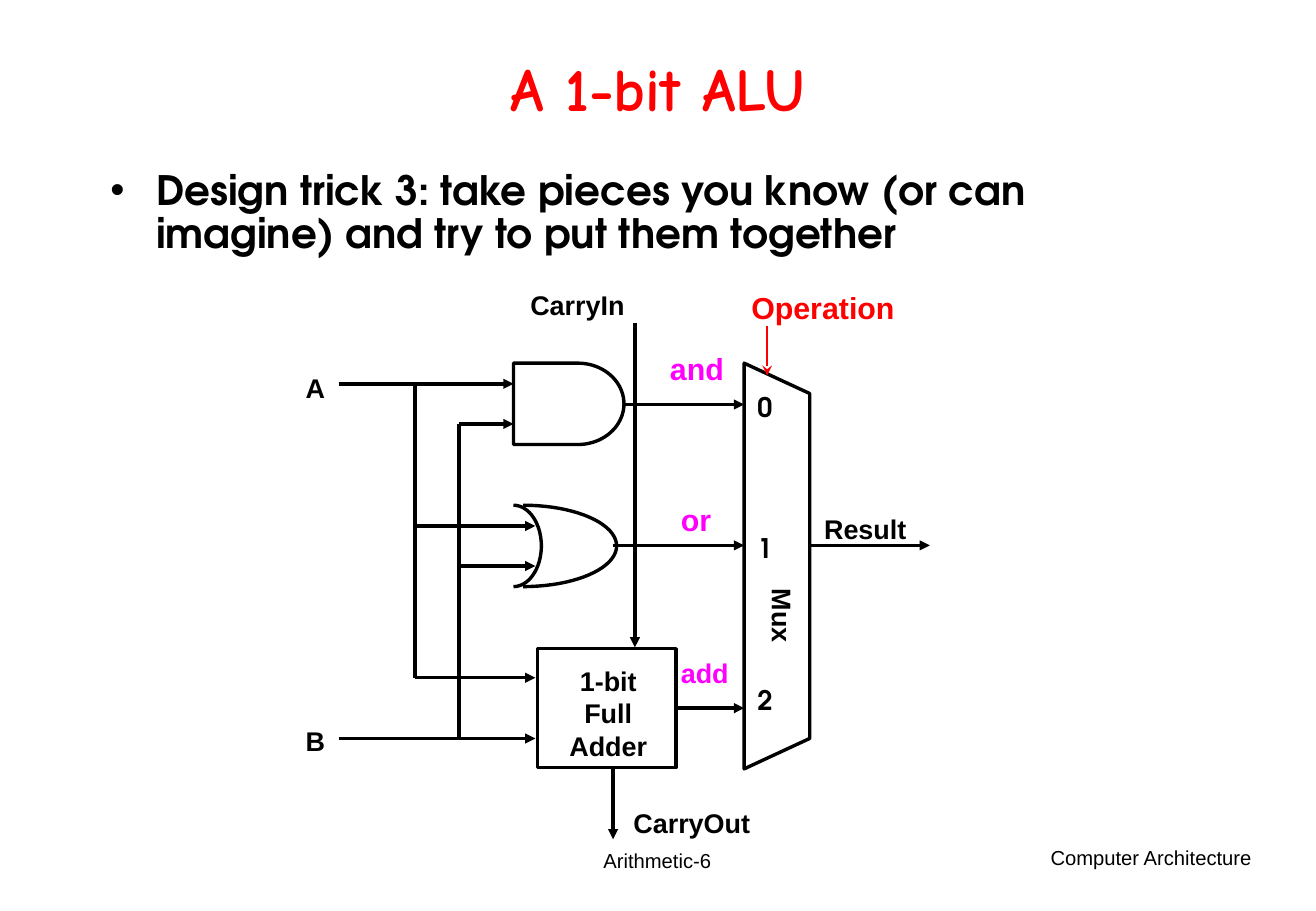
import math

from lxml import etree
from pptx import Presentation
from pptx.dml.color import RGBColor
from pptx.enum.shapes import MSO_CONNECTOR, MSO_SHAPE
from pptx.enum.text import MSO_ANCHOR, MSO_AUTO_SIZE, PP_ALIGN
from pptx.oxml.ns import qn
from pptx.util import Emu, Pt

PX = 9144  # 100 px to the inch
LEFT, MID, RIGHT = PP_ALIGN.LEFT, PP_ALIGN.CENTER, PP_ALIGN.RIGHT
TOP, CENTER = MSO_ANCHOR.TOP, MSO_ANCHOR.MIDDLE
FIXED = MSO_AUTO_SIZE.NONE
STRAIGHT = MSO_CONNECTOR.STRAIGHT
RECT = MSO_SHAPE.RECTANGLE
ARIAL, GOTHIC, COMIC = "Arial", "TeX Gyre Adventor", "Comic Neue"
BLACK, RED, PINK, BLUE = "000000", "FF0000", "FF00FF", "0000FF"

# text, left, top, width, height, size, colour
LABELS = [
    ("A", 242, 301, 36, 37, 16, BLACK),
    ("B", 242, 592, 36, 37, 16, BLACK),
    ("CarryIn", 427, 233, 98, 37, 16, BLACK),
    ("CarryOut", 512, 659, 116, 37, 16, BLACK),
    ("Result", 669, 417, 88, 37, 16, BLACK),
    ("and", 542, 283, 65, 40, 18, PINK),
    ("or", 551, 408, 45, 40, 18, PINK),
    ("add", 551, 536, 60, 37, 16, PINK),
    ("Operation", 609, 233, 138, 40, 18, RED),
]
ARROWS = [
    (279, 316, 423, 316), (378, 349, 423, 349),  # into the and gate
    (342, 433, 441, 433), (378, 466, 441, 466),  # into the or gate
    (342, 558, 441, 558), (279, 608, 441, 608),  # into the adder
    (514, 333, 613, 333), (505, 449, 613, 449),  # into the mux
    (523, 266, 523, 533), (505, 633, 505, 691),  # carry in and out
    (667, 449, 766, 449),
]
BRANCHES = [(342, 316, 342, 558), (378, 349, 378, 608)]
MUX = [(613, 299), (667, 324), (667, 608), (613, 633)]
INPUTS = [("0", 317), ("1", 433), ("2", 558)]


def px(*vals):
    return [Emu(round(v * PX)) for v in vals]


def paint(hue):
    return RGBColor.from_string(hue)


def put(obj, fmt):
    for key, val in fmt.items():
        setattr(obj, key, val)


def place(shape, box):
    put(shape, dict(zip(("left", "top", "width", "height"), px(*box))))


def write(shape, text, size, hue=BLACK, font=ARIAL, bold=True,
          align=LEFT, anchor=TOP, wrap=False, lines=1.0):
    frame = shape.text_frame
    put(frame, {"text": text, "word_wrap": wrap,
                "auto_size": FIXED, "vertical_anchor": anchor})
    for para in frame.paragraphs:
        put(para, {"alignment": align, "line_spacing": lines,
                   "space_before": Pt(0)})
        for run in para.runs:
            put(run.font, {"name": font, "size": Pt(size), "bold": bold})
            run.font.color.rgb = paint(hue)


def label(slide, text, box, size, hue=BLACK, **style):
    shape = slide.shapes.add_textbox(*px(*box))
    write(shape, text, size, hue, **style)
    return shape


def ink(line, hue=BLACK, width=2):
    line.color.rgb = paint(hue)
    line.width = Pt(width)


def wire(slide, ends, head="triangle", hue=BLACK, width=2):
    link = slide.shapes.add_connector(STRAIGHT, *px(*ends))
    ink(link.line, hue, width)
    props = link._element.spPr
    if head:
        line = props.find(qn("a:ln"))
        etree.SubElement(line, qn("a:tailEnd"), type=head)
    etree.SubElement(props, qn("a:effectLst"))
    return link


def trim(shape):
    """Leave only a black outline."""
    shape.shadow.inherit = False
    shape.fill.background()
    ink(shape.line)


def trace(slide, points, close=False):
    spots = [px(*point) for point in points]
    pen = slide.shapes.build_freeform(*spots[0], scale=1.0)
    pen.add_line_segments(spots[1:], close=close)
    trim(pen.convert_to_shape())


def bow(x, y, wide, high, steps=40):
    """Points of a half ellipse that bulges right of (x, y), top to bottom."""
    turns = [math.pi * (i / steps - 0.5) for i in range(steps + 1)]
    return [(x + wide * math.cos(t), y + high * math.sin(t)) for t in turns]


def bullet(para, mark, hue, size, indent):
    props = para._p.get_or_add_pPr()
    props.set("marL", str(indent * PX))
    props.set("indent", str(-indent * PX))
    tint = etree.SubElement(props, qn("a:buClr"))
    etree.SubElement(tint, qn("a:srgbClr"), val=hue)
    etree.SubElement(props, qn("a:buSzPct"), val=str(size * 1000))
    etree.SubElement(props, qn("a:buChar"), char=mark)


def heads(slide):
    title, body = slide.placeholders
    place(title, (81, 27, 921, 99))
    write(title, "A 1-bit ALU", 36, RED, COMIC, align=MID,
          anchor=CENTER, wrap=True, lines=0.85)
    place(body, (81, 135, 921, 556))
    bullet(body.text_frame.paragraphs[0], "⧫", BLUE, 75, 38)
    write(body, "Design trick 3: take pieces you know (or can imagine) "
          "and try to put them together", 24, font=GOTHIC, wrap=True, lines=0.9)


def gates(slide):
    trace(slide, [(423, 299), *bow(476, 332.5, 38, 33.5), (423, 366)], True)
    for x, wide in ((431, 77), (423, 23)):
        trace(slide, bow(x, 449.5, wide, 33.5))


def adder(slide):
    box = slide.shapes.add_shape(RECT, *px(443, 534, 114, 98))
    trim(box)
    write(box, "1-bit\nFull\nAdder", 16, align=MID)
    put(box.text_frame, dict(zip(("margin_left", "margin_top"), px(12, 13))))
    wire(slide, (557, 583, 613, 583)).begin_connect(box, 3)


def mux(slide):
    trace(slide, MUX, True)
    label(slide, "Mux", (612, 489, 65, 37), 16).rotation = 90
    for text, top in INPUTS:
        label(slide, text, (614, top, 36, 37), 16, font=GOTHIC, wrap=True)
    wire(slide, (632, 268, 632, 309), "stealth", RED, 1)


def main():
    deck = Presentation()
    deck.slide_width, deck.slide_height = px(1084, 750)
    slide = deck.slides.add_slide(deck.slide_layouts[1])
    heads(slide)
    gates(slide)
    adder(slide)
    mux(slide)
    for ends in ARROWS:
        wire(slide, ends)
    for ends in BRANCHES:
        wire(slide, ends, None)
    for text, *box, size, hue in LABELS:
        label(slide, text, box, size, hue)
    label(slide, "Arithmetic-6", (370, 683, 343, 50), 12, bold=False,
          align=MID, anchor=CENTER)
    label(slide, "Computer Architecture", (812, 691, 229, 50), 12,
          bold=False, align=RIGHT)
    deck.save("out.pptx")


if __name__ == "__main__":
    main()
